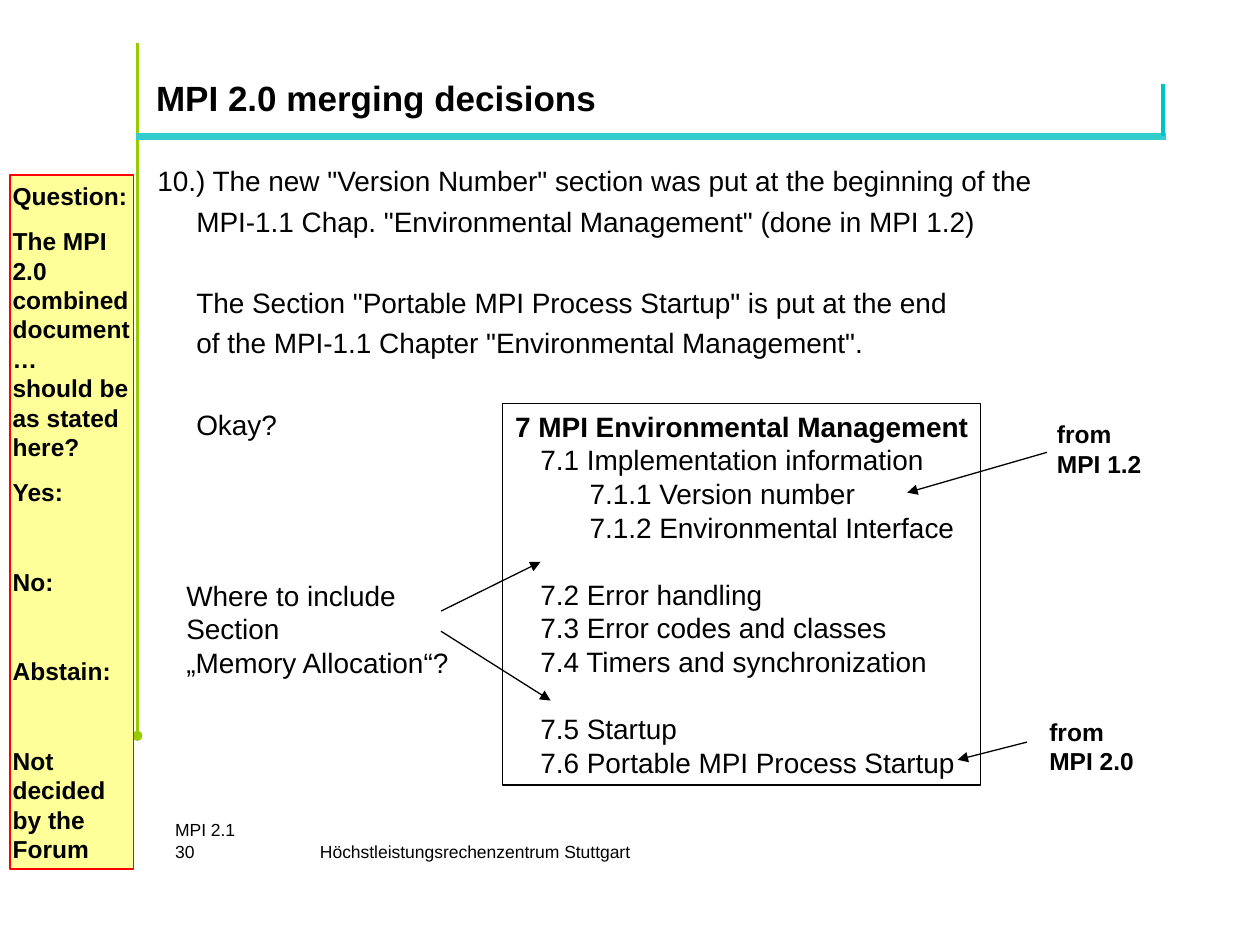
from lxml import etree
from pptx import Presentation
from pptx.dml.color import RGBColor
from pptx.enum import shapes, text
from pptx.oxml import ns
from pptx.util import Inches, Pt

BLACK = RGBColor(0, 0, 0)
GREEN = RGBColor(0x99, 0xCC, 0x00)
TEAL = RGBColor(0x33, 0xCC, 0xCC)
CYAN = RGBColor(0x00, 0xC3, 0xC7)
RED = RGBColor(0xFF, 0, 0)
YELLOW = RGBColor(0xFF, 0xFF, 0x99)

# Paragraphs: (text, left indent in inches, blank lines above)
BODY = [
    ('10.) The new "Version Number" section was put at the beginning of the', 0, 0),
    ('MPI-1.1 Chap. "Environmental Management" (done in MPI 1.2)', 0.31, 0),
    ('The Section "Portable MPI Process Startup" is put at the end', 0.31, 1),
    ('of the MPI-1.1 Chapter "Environmental Management".', 0.31, 0),
    ("Okay?", 0.31, 1),
]
VOTE = [
    ("Question:", 0, 0),
    ("The MPI 2.0 combined document\n…\nshould be as stated here?", 0, 0),
    ("Yes:", 0, 0),
    ("No:", 0, 1),
    ("Abstain:", 0, 1),
    ("Not decided by the Forum", 0, 1),
]
CHAPTER = [
    ("7 MPI Environmental Management", 0, 0),
    ("7.1 Implementation information", 0.2, 0),
    ("7.1.1 Version number", 0.59, 0),
    ("7.1.2 Environmental Interface", 0.59, 0),
    ("7.2 Error handling", 0.2, 1),
    ("7.3 Error codes and classes", 0.2, 0),
    ("7.4 Timers and synchronization", 0.2, 0),
    ("7.5 Startup", 0.2, 1),
    ("7.6 Portable MPI Process Startup", 0.2, 0),
]
ARROWS = [
    (8.31, 3.59, 7.2, 3.91),
    (8.15, 5.89, 7.6, 6.03),
    (3.5, 4.85, 4.29, 4.46),
    (3.5, 5.01, 4.37, 5.56),
]


def plain(*items):
    return [(item, 0, 0) for item in items]


def write(shape, paras, size=16, bold=False, head=False, gap=0,
          left=0.1, top=0.05, align=text.PP_ALIGN.LEFT, anchor=text.MSO_ANCHOR.TOP):
    """Fill a shape with paragraphs; head makes only the first one bold."""
    frame = shape.text_frame
    frame.word_wrap = True
    frame.vertical_anchor = anchor
    frame.margin_left, frame.margin_right = Inches(left), 0
    frame.margin_top = frame.margin_bottom = Inches(top)
    pitch = 1.2 * size
    for i, (words, indent, blanks) in enumerate(paras):
        para = frame.add_paragraph() if i else frame.paragraphs[0]
        para.text = words
        para.alignment = align
        para.line_spacing = Pt(pitch)
        if i:
            para.space_before = Pt(gap + blanks * (pitch + gap))
        if indent:
            para._p.get_or_add_pPr().set("marL", str(Inches(indent)))
        for run in para.runs:
            run.font.name = "Arial"
            run.font.size = Pt(size)
            run.font.bold = bold or (head and i == 0)
            run.font.color.rgb = BLACK


def label(slide, box, paras, **style):
    write(slide.shapes.add_textbox(*map(Inches, box)), paras, **style)


def panel(slide, box, kind=shapes.MSO_SHAPE.RECTANGLE, fill=None, line=None, width=1):
    shape = slide.shapes.add_shape(kind, *map(Inches, box))
    shape.shadow.inherit = False
    if fill is None:
        shape.fill.background()
    else:
        shape.fill.solid()
        shape.fill.fore_color.rgb = fill
    if line is None:
        shape.line.fill.background()
    else:
        shape.line.color.rgb = line
        shape.line.width = Pt(width)
    return shape


def rule(slide, ends, color=BLACK, width=0.75, arrow=False):
    line = slide.shapes.add_connector(
        shapes.MSO_CONNECTOR.STRAIGHT, *map(Inches, ends))
    line.line.color.rgb = color
    line.line.width = Pt(width)
    if arrow:
        tip = etree.SubElement(line.line._get_or_add_ln(), ns.qn("a:tailEnd"))
        tip.set("type", "triangle")
    etree.SubElement(line._element.spPr, ns.qn("a:effectLst"))


def frame(slide):
    """Coloured rules and footer around the content."""
    rule(slide, (1.09, 0.34, 1.09, 5.83), GREEN, 2)
    rule(slide, (1.08, 1.08, 9.25, 1.08), TEAL, 4)
    panel(slide, (1.05, 5.8, 0.08, 0.08), shapes.MSO_SHAPE.OVAL, fill=GREEN)
    rule(slide, (9.23, 1.08, 9.23, 0.67), CYAN, 2)
    foot = dict(size=10, left=0, top=0, anchor=text.MSO_ANCHOR.MIDDLE)
    label(slide, (2.5, 6.67, 2.5, 0.17),
          plain("Höchstleistungsrechenzentrum Stuttgart"),
          align=text.PP_ALIGN.RIGHT, **foot)
    label(slide, (1.39, 6.5, 2.36, 0.17), plain("MPI 2.1"), **foot)
    label(slide, (1.39, 6.67, 0.98, 0.17), plain("30"), **foot)


def main():
    deck = Presentation()
    deck.slide_width, deck.slide_height = Inches(10), Inches(7.5)
    slide = deck.slides.add_slide(deck.slide_layouts[6])

    frame(slide)
    label(slide, (1.14, 0.58, 8.1, 0.39), plain("MPI 2.0 merging decisions"),
          size=20, bold=True, anchor=text.MSO_ANCHOR.MIDDLE)
    label(slide, (1.15, 1.25, 8.1, 2.26), BODY, gap=4)
    vote = panel(slide, (0.08, 1.39, 0.98, 5.51), fill=YELLOW, line=RED)
    write(vote, VOTE, size=14, bold=True, gap=8.8, left=0.02)
    outline = panel(slide, (3.99, 3.2, 3.79, 3.03), line=BLACK, width=0.75)
    write(outline, CHAPTER, head=True)
    for x, y, source in ((8.29, 3.28, "MPI 1.2"), (8.23, 5.64, "MPI 2.0")):
        label(slide, (x, y, 0.87, 0.57), plain("from", source), size=14, bold=True)
    label(slide, (1.38, 4.54, 2.29, 0.9),
          plain("Where to include\nSection", "„Memory Allocation“?"))
    for ends in ARROWS:
        rule(slide, ends, arrow=True)

    deck.save("out.pptx")


if __name__ == "__main__":
    main()
